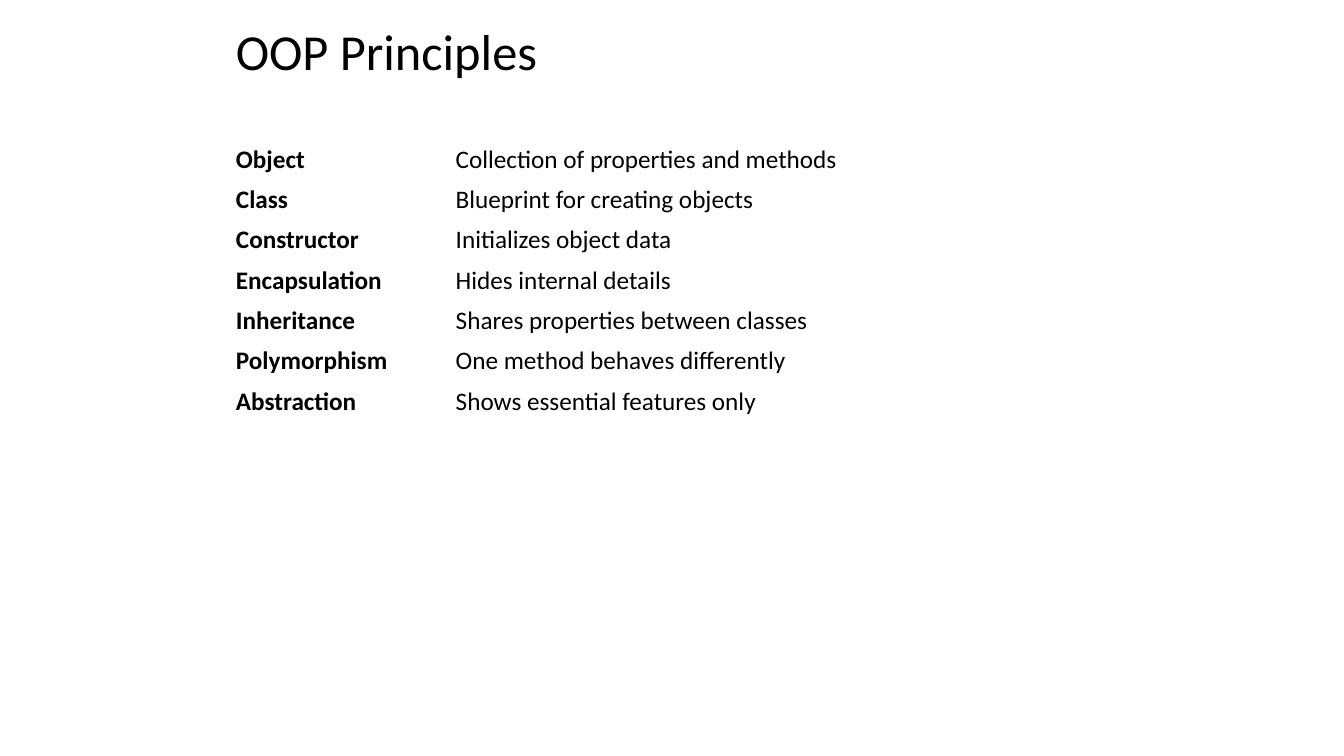
from dataclasses import dataclass

from pptx import Presentation
from pptx.dml.color import RGBColor
from pptx.enum.text import MSO_ANCHOR, MSO_AUTO_SIZE
from pptx.util import Inches, Pt

MIDDLE = MSO_ANCHOR.MIDDLE
GROW = MSO_AUTO_SIZE.SHAPE_TO_FIT_TEXT


@dataclass(frozen=True)
class Theme:
    font: str = "Calibri"
    ink: RGBColor = RGBColor(0, 0, 0)
    title_size: int = 36
    body_size: int = 18


THEME = Theme()
LEFT = 2.24
ROW_HEIGHT = 0.4
COLUMN_WIDTHS = (2.18, 5.75)
PRINCIPLES = (
    ("Object", "Collection of properties and methods"),
    ("Class", "Blueprint for creating objects"),
    ("Constructor", "Initializes object data"),
    ("Encapsulation", "Hides internal details"),
    ("Inheritance", "Shares properties between classes"),
    ("Polymorphism", "One method behaves differently"),
    ("Abstraction", "Shows essential features only"),
)


def write(text_frame, text, size, bold=False):
    run = text_frame.paragraphs[0].add_run()
    run.text = text
    for attribute, value in {"name": THEME.font, "size": Pt(size), "bold": bold}.items():
        setattr(run.font, attribute, value)
    run.font.color.rgb = THEME.ink


def add_title(slide, text):
    title = slide.shapes.add_textbox(
        Inches(LEFT), Inches(0.15), Inches(6.67), Inches(0.71)
    )
    title.text_frame.word_wrap = True
    title.text_frame.auto_size = GROW
    write(title.text_frame, text, THEME.title_size)


def add_glossary(slide, entries):
    """Add a plain two-column table of bold terms and their meanings."""
    glossary = slide.shapes.add_table(
        len(entries), len(COLUMN_WIDTHS), Inches(LEFT), Inches(1.38),
        Inches(sum(COLUMN_WIDTHS)), Inches(ROW_HEIGHT * len(entries)),
    ).table
    glossary.first_row = False
    glossary.horz_banding = False
    # The "No Style, No Grid" table style has neither fills nor borders.
    style_id = glossary._tbl.tblPr.find("{*}tableStyleId")
    style_id.text = "{2D5ABB26-0587-4C30-8999-92F81FD0307C}"

    for column, width in zip(glossary.columns, COLUMN_WIDTHS):
        column.width = Inches(width)
    for row, entry in zip(glossary.rows, entries):
        row.height = Inches(ROW_HEIGHT)
        for index, (cell, text) in enumerate(zip(row.cells, entry)):
            cell.fill.background()
            cell.vertical_anchor = MIDDLE
            write(cell.text_frame, text, THEME.body_size, bold=index == 0)


def main():
    presentation = Presentation()
    presentation.slide_width = Inches(13.33)
    presentation.slide_height = Inches(7.5)
    slide = presentation.slides.add_slide(presentation.slide_layouts[6])
    add_title(slide, "OOP Principles")
    add_glossary(slide, PRINCIPLES)
    presentation.save("out.pptx")


if __name__ == "__main__":
    main()
